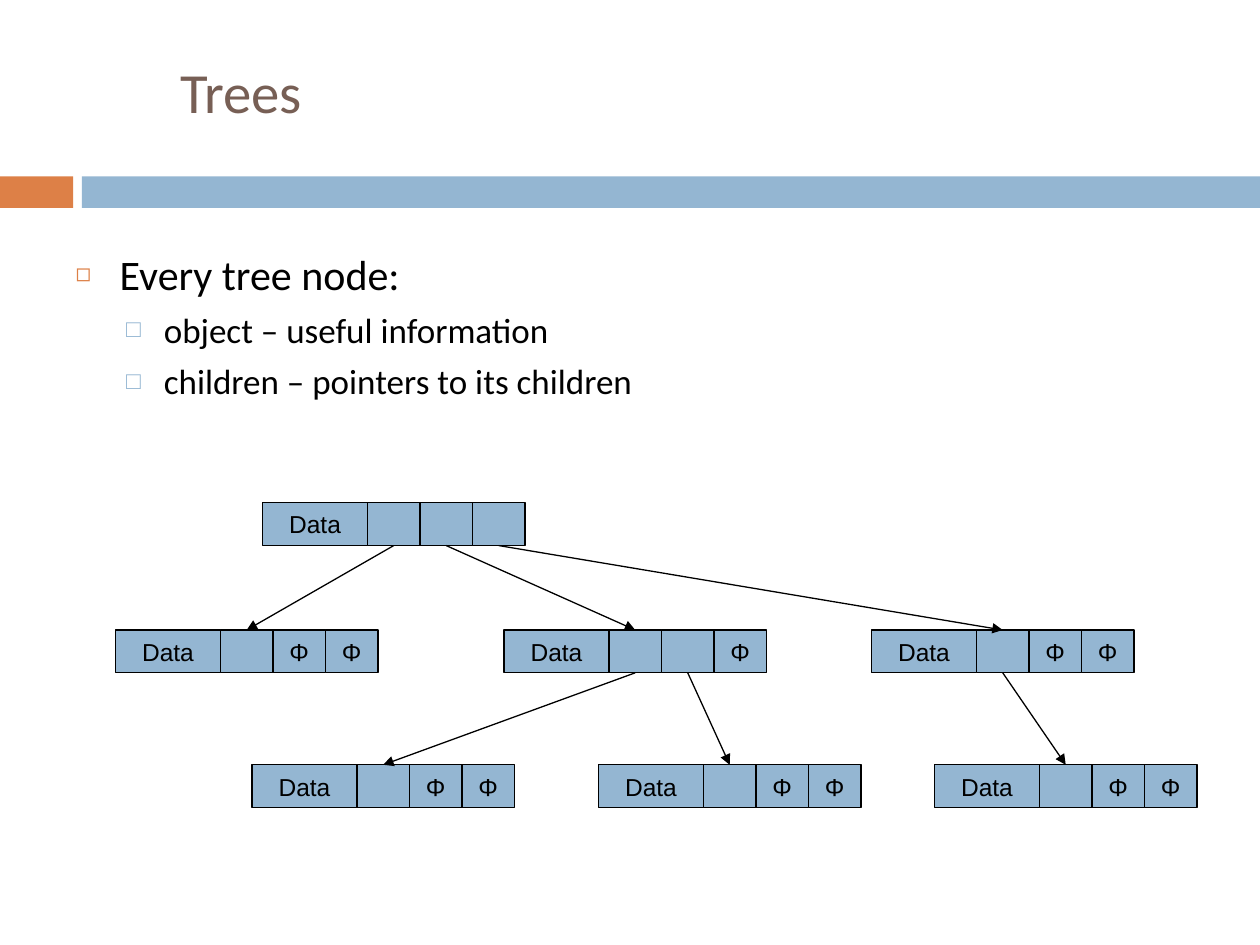
from lxml import etree
from pptx import Presentation
from pptx.dml.color import RGBColor
from pptx.enum.shapes import MSO_CONNECTOR, MSO_SHAPE
from pptx.enum.text import MSO_ANCHOR, MSO_AUTO_SIZE, PP_ALIGN
from pptx.oxml.ns import qn
from pptx.util import Inches, Pt

RECTANGLE = MSO_SHAPE.RECTANGLE
STRAIGHT = MSO_CONNECTOR.STRAIGHT
MIDDLE = MSO_ANCHOR.MIDDLE
LEFT, CENTER = PP_ALIGN.LEFT, PP_ALIGN.CENTER
NO_FIT, GROW = MSO_AUTO_SIZE.NONE, MSO_AUTO_SIZE.SHAPE_TO_FIT_TEXT

COLORS = {"orange": "DD8047", "blue": "94B6D2", "brown": "775F55", "black": "000000"}
COLUMN = Inches(10) // 120
DATA_COLUMNS, POINTER_COLUMNS = 10, 5
NODE_HEIGHT = 0.34
ROOT_ROW, CHILD_ROW, LEAF_ROW = 3.99, 5, 6.07
BOTTOM_SIDE, TOP_SIDE = 2, 0

BULLETS = [
    {"symbol": "◻", "color": "orange", "percent": 60, "margin": 0.35, "hanging": 0.35},
    {"symbol": "□", "color": "blue", "percent": 70, "margin": 0.7, "hanging": 0.3},
]
ITEMS = [
    ("Every tree node:", 0, 24, 7),
    ("object – useful information", 1, 20, 5.5),
    ("children – pointers to its children", 1, 20, 5.5),
]
NODES = {
    "root": (25, ROOT_ROW, ["", "", ""]),
    "left": (11, CHILD_ROW, ["", "Φ", "Φ"]),
    "middle": (48, CHILD_ROW, ["", "", "Φ"]),
    "right": (83, CHILD_ROW, ["", "Φ", "Φ"]),
    "first leaf": (24, LEAF_ROW, ["", "Φ", "Φ"]),
    "second leaf": (57, LEAF_ROW, ["", "Φ", "Φ"]),
    "third leaf": (89, LEAF_ROW, ["", "Φ", "Φ"]),
}
LINKS = [
    ("root", 0, "left"),
    ("root", 1, "middle"),
    ("root", 2, "right"),
    ("middle", 0, "first leaf"),
    ("middle", 1, "second leaf"),
    ("right", 0, "third leaf"),
]


def rgb(name):
    """Return the named palette color."""
    return RGBColor.from_string(COLORS[name])


def write(paragraph, text, *, size, font="Calibri", color="black", align=LEFT, before=0):
    """Write formatted text into a paragraph."""
    paragraph.alignment = align
    paragraph.space_before = Pt(before)
    run = paragraph.add_run()
    run.text = text
    run.font.size = Pt(size)
    run.font.name = font
    run.font.color.rgb = rgb(color)


def add_bullet(paragraph, symbol, color, percent, margin, hanging):
    """Give a paragraph a colored bullet and a hanging indent."""
    properties = paragraph._p.get_or_add_pPr()
    properties.set("marL", str(Inches(margin)))
    properties.set("indent", str(-Inches(hanging)))
    bullet_color = etree.SubElement(properties, qn("a:buClr"))
    etree.SubElement(bullet_color, qn("a:srgbClr"), val=COLORS[color])
    etree.SubElement(properties, qn("a:buSzPct"), val=str(percent * 1000))
    etree.SubElement(properties, qn("a:buChar"), char=symbol)


class TreeSlide:
    """Hold the slide and draw its elements in one style."""

    def __init__(self, presentation):
        """Add a slide with title and body placeholders."""
        self.slide = presentation.slides.add_slide(presentation.slide_layouts[1])

    def place(self, shape, left, top, width, height):
        """Move and size a shape in inches."""
        shape.left, shape.top = Inches(left), Inches(top)
        shape.width, shape.height = Inches(width), Inches(height)

    def band(self, left, width, color):
        """Draw one part of the band below the title."""
        shape = self.slide.shapes.add_shape(
            RECTANGLE, Inches(left), Inches(1.4), Inches(width), Inches(0.25))
        shape.shadow.inherit = False
        shape.fill.solid()
        shape.fill.fore_color.rgb = rgb(color)
        shape.line.fill.background()

    def title(self, text):
        """Fill the title placeholder."""
        shape = self.slide.shapes.title
        self.place(shape, 1.33, 0.41, 8.5, 0.63)
        frame = shape.text_frame
        frame.auto_size = NO_FIT
        frame.vertical_anchor = MIDDLE
        write(frame.paragraphs[0], text, size=32.4, color="brown")

    def body(self, items):
        """Fill the body placeholder with a two-level list."""
        shape = self.slide.placeholders[1]
        self.place(shape, 0.5, 1.92, 9, 4.25)
        frame = shape.text_frame
        frame.auto_size = NO_FIT
        for index, (text, level, size, before) in enumerate(items):
            paragraph = frame.add_paragraph() if index else frame.paragraphs[0]
            paragraph.level = level
            write(paragraph, text, size=size, before=before)
            add_bullet(paragraph, **BULLETS[level])

    def cell(self, group, column, row, columns, text):
        """Draw one cell of a tree node."""
        shape = group.shapes.add_shape(
            RECTANGLE, column * COLUMN, Inches(row), columns * COLUMN, Inches(NODE_HEIGHT))
        shape.shadow.inherit = False
        shape.fill.solid()
        shape.fill.fore_color.rgb = rgb("blue")
        shape.line.color.rgb = rgb("black")
        shape.line.width = Pt(0.75)
        if text:
            frame = shape.text_frame
            frame.auto_size = GROW
            write(frame.paragraphs[0], text, size=14, font="Arial", align=CENTER, before=7)
        return shape

    def node(self, column, row, pointers):
        """Draw a grouped node and return its pointer cells."""
        group = self.slide.shapes.add_group_shape()
        self.cell(group, column, row, DATA_COLUMNS, "Data")
        first = column + DATA_COLUMNS
        return [self.cell(group, first + index * POINTER_COLUMNS, row, POINTER_COLUMNS, text)
                for index, text in enumerate(pointers)]

    def arrow(self, source, target):
        """Join a pointer cell to a child node."""
        connector = self.slide.shapes.add_connector(STRAIGHT, 0, 0, 0, 0)
        connector.begin_connect(source, BOTTOM_SIDE)
        connector.end_connect(target, TOP_SIDE)
        connector.line.color.rgb = rgb("black")
        connector.line.width = Pt(0.75)
        etree.SubElement(connector.line._get_or_add_ln(), qn("a:tailEnd"), type="triangle")
        etree.SubElement(connector._element.spPr, qn("a:effectLst"))


def main():
    """Build and save the slide."""
    presentation = Presentation()
    presentation.slide_width, presentation.slide_height = Inches(10), Inches(7.5)
    tree = TreeSlide(presentation)
    tree.band(0, 0.58, "orange")
    tree.band(0.65, 9.35, "blue")
    tree.title("Trees")
    tree.body(ITEMS)
    pointers = {name: tree.node(*layout) for name, layout in NODES.items()}
    for parent, index, child in LINKS:
        tree.arrow(pointers[parent][index], pointers[child][0])
    presentation.save("out.pptx")


if __name__ == "__main__":
    main()
